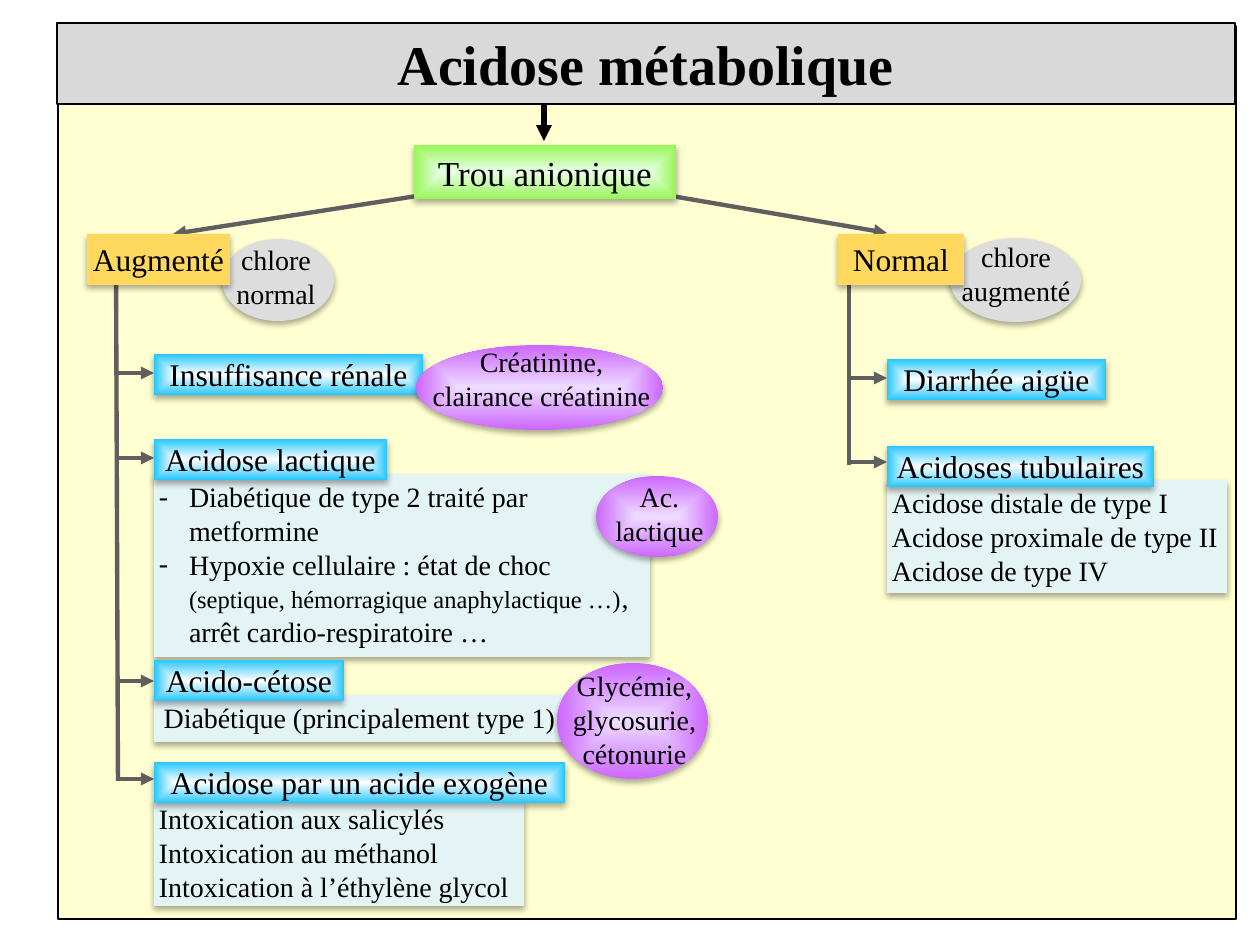
from lxml import etree
from pptx import Presentation
from pptx.dml.color import RGBColor
from pptx.enum.shapes import MSO_CONNECTOR, MSO_SHAPE
from pptx.enum.text import MSO_ANCHOR, PP_ALIGN
from pptx.oxml import parse_xml
from pptx.oxml.ns import qn
from pptx.util import Pt

RECT, OVAL = MSO_SHAPE.RECTANGLE, MSO_SHAPE.OVAL
STRAIGHT = MSO_CONNECTOR.STRAIGHT
TOP, MIDDLE = MSO_ANCHOR.TOP, MSO_ANCHOR.MIDDLE
LEFT, CENTER = PP_ALIGN.LEFT, PP_ALIGN.CENTER

EMU_PER_PX = 914400 / 126
FONT = "Times New Roman"
NS = "http://schemas.openxmlformats.org/drawingml/2006/main"
BLACK, GREY = "000000", "5F5F5F"
BLUE = ("FFFFFF", "25C6FF")
GREEN = ("E9FFE9", "98F658")
PURPLE = ("EEDDFF", "CC66FF")
AMBER, PALE, SILVER = "FFD85D", "E4F3F4", "DDDDDD"

# Boxes are (left, top, width, height); a paragraph is a list of (text, size).
BACKGROUND = (58, 26, 1178, 893)
TITLE = ("Acidose métabolique", (57, 23, 1178, 81))
ROOT = ("Trou anionique", (414, 145, 262, 54))
ROOT_ARROWS = [
    ((544, 96), (544, 141), BLACK, 3),
    ((654, 193), (887, 233), GREY, 2.5),
    ((430, 194), (173, 234), GREY, 2.5),
]
TRUNKS = [((849, 272), (849, 465)), ((116, 255), (118, 781))]
BRANCHES = [("Augmenté", (87, 234, 143, 51)), ("Normal", (838, 234, 126, 51))]

# Causes: trunk x, label x, then (label, top, width, arrow y)
CAUSES = [
    (118, 154, [
        ("Insuffisance rénale", 354, 269, 373),
        ("Acidose lactique", 439, 233, 458),
        ("Acido-cétose", 660, 190, 681),
        ("Acidose par un acide exogène", 762, 411, 779),
    ]),
    (850, 887, [
        ("Diarrhée aigüe", 359, 219, 378),
        ("Acidoses tubulaires", 446, 267, 462),
    ]),
]
LABEL_HEIGHT = 41

# Details: box, vertical inset, alignment, bulleted, paragraphs
DETAILS = [
    ((154, 474, 496, 183), 6, LEFT, True, [
        [("Diabétique de type 2 traité par metformine", 16)],
        [("Hypoxie cellulaire : état de choc ", 16),
         ("(septique, hémorragique anaphylactique …)", 14),
         (", arrêt cardio-respiratoire …", 16)],
    ]),
    ((154, 695, 411, 47), 6, CENTER, False,
     [[("Diabétique (principalement type 1)", 16)]]),
    ((154, 801, 370, 105), 1, LEFT, False, [
        [("Intoxication aux salicylés", 16)],
        [("Intoxication au méthanol", 16)],
        [("Intoxication à l’éthylène glycol", 16)],
    ]),
    ((887, 480, 340, 113), 6, LEFT, False, [
        [("Acidose distale de type I", 16)],
        [("Acidose proximale de type II", 16)],
        [("Acidose de type IV", 16)],
    ]),
]

# Bubbles: text, fill, oval box, text box, insets
BUBBLES = [
    ("Créatinine, clairance créatinine", PURPLE,
     (416, 345, 247, 85), (425, 339, 233, 81), (2, 6)),
    ("Glycémie, glycosurie, cétonurie", PURPLE,
     (557, 663, 151, 116), (566, 668, 137, 105), (2, 1)),
    ("Ac. lactique", PURPLE,
     (596, 476, 122, 81), (604, 479, 111, 71), (2, 1)),
    ("chlore normal", SILVER,
     (222, 239, 112, 82), (215, 237, 122, 81), (12, 6)),
    ("chlore augmenté", SILVER,
     (950, 238, 131, 84), (945, 234, 142, 81), (2, 6)),
]


def px(n):
    """Turn pixels into EMU."""
    return round(n * EMU_PER_PX)


def rgb(code):
    """Turn a hex string into a colour."""
    return RGBColor.from_string(code)


def add_shadow(sp):
    """Give a shape a soft shadow straight below it."""
    effects = sp._element.spPr.find(qn("a:effectLst"))
    effects.append(parse_xml(
        f'<a:outerShdw xmlns:a="{NS}" blurRad="{Pt(3.5)}" dist="{Pt(2.2)}" '
        'dir="5400000" rotWithShape="0"><a:srgbClr val="000000">'
        '<a:alpha val="32000"/></a:srgbClr></a:outerShdw>'))


def set_fill(sp, fill):
    """Fill with one colour, or from the centre to the edge with two."""
    if isinstance(fill, str):
        sp.fill.solid()
        sp.fill.fore_color.rgb = rgb(fill)
        return
    sp.fill.gradient()
    for stop, code in zip(sp.fill.gradient_stops, fill):
        stop.color.rgb = rgb(code)
    grad = sp._element.spPr.find(qn("a:gradFill"))
    grad.replace(grad.find(qn("a:lin")), parse_xml(
        f'<a:path xmlns:a="{NS}" path="shape">'
        '<a:fillToRect l="50000" t="50000" r="50000" b="50000"/></a:path>'))


def add_box(kind, box, fill, outlined=False):
    """Add a filled shape with either an outline or a shadow."""
    sp = slide.shapes.add_shape(kind, *map(px, box))
    sp.shadow.inherit = False
    set_fill(sp, fill)
    if outlined:
        sp.line.color.rgb = rgb(BLACK)
        sp.line.width = Pt(0.75)
    else:
        sp.line.fill.background()
        add_shadow(sp)
    return sp


def add_bullet(p):
    """Give a paragraph a hanging dash."""
    pPr = p._p.get_or_add_pPr()
    pPr.set("marL", str(px(30)))
    pPr.set("indent", str(-px(30)))
    etree.SubElement(pPr, qn("a:buFont")).set("typeface", FONT)
    etree.SubElement(pPr, qn("a:buChar")).set("char", "-")


def write(sp, paragraphs, insets, align=CENTER, anchor=TOP, bold=False, bullets=False):
    """Write paragraphs of (text, size) runs into a shape."""
    tf = sp.text_frame
    tf.word_wrap = True
    tf.vertical_anchor = anchor
    tf.margin_left = tf.margin_right = px(insets[0])
    tf.margin_top = tf.margin_bottom = px(insets[1])
    for i, runs in enumerate(paragraphs):
        p = tf.add_paragraph() if i else tf.paragraphs[0]
        p.alignment = align
        if bullets:
            add_bullet(p)
        for text, size in runs:
            r = p.add_run()
            r.text = text
            r.font.name = FONT
            r.font.size = Pt(size)
            r.font.bold = bold
            r.font.color.rgb = rgb(BLACK)


def add_line(start, end, color=GREY, width=2.5, arrow=True):
    """Add a straight line, with an arrowhead at its end if wanted."""
    line = slide.shapes.add_connector(STRAIGHT, *map(px, start + end))
    line.line.color.rgb = rgb(color)
    line.line.width = Pt(width)
    if arrow:
        etree.SubElement(line.line._get_or_add_ln(), qn("a:tailEnd")).set("type", "triangle")
    etree.SubElement(line._element.spPr, qn("a:effectLst"))


prs = Presentation()
prs.slide_width, prs.slide_height = px(1260), px(945)
slide = prs.slides.add_slide(prs.slide_layouts[6])

add_box(RECT, BACKGROUND, "FFFFD1", outlined=True)
for start, end in TRUNKS:
    add_line(start, end, arrow=False)
for box, inset, align, bullets, paragraphs in DETAILS:
    write(add_box(RECT, box, PALE), paragraphs, (5, inset), align, bullets=bullets)
for trunk_x, label_x, labels in CAUSES:
    for text, top, width, arrow_y in labels:
        add_line((trunk_x, arrow_y), (label_x, arrow_y))
        label = add_box(RECT, (label_x, top, width, LABEL_HEIGHT), BLUE)
        write(label, [[(text, 18)]], (2, 1))
for text, fill, oval, text_box, insets in BUBBLES:
    add_box(OVAL, oval, fill)
    write(slide.shapes.add_textbox(*map(px, text_box)), [[(text, 16)]], insets)
for arrow in ROOT_ARROWS:
    add_line(*arrow)
for text, box in BRANCHES:
    write(add_box(RECT, box, AMBER), [[(text, 18)]], (2, 6))
write(add_box(RECT, ROOT[1], GREEN), [[(ROOT[0], 20)]], (2, 6))
title = add_box(RECT, TITLE[1], "D9D9D9", outlined=True)
write(title, [[(TITLE[0], 32)]], (12, 6), anchor=MIDDLE, bold=True)

prs.save("out.pptx")
